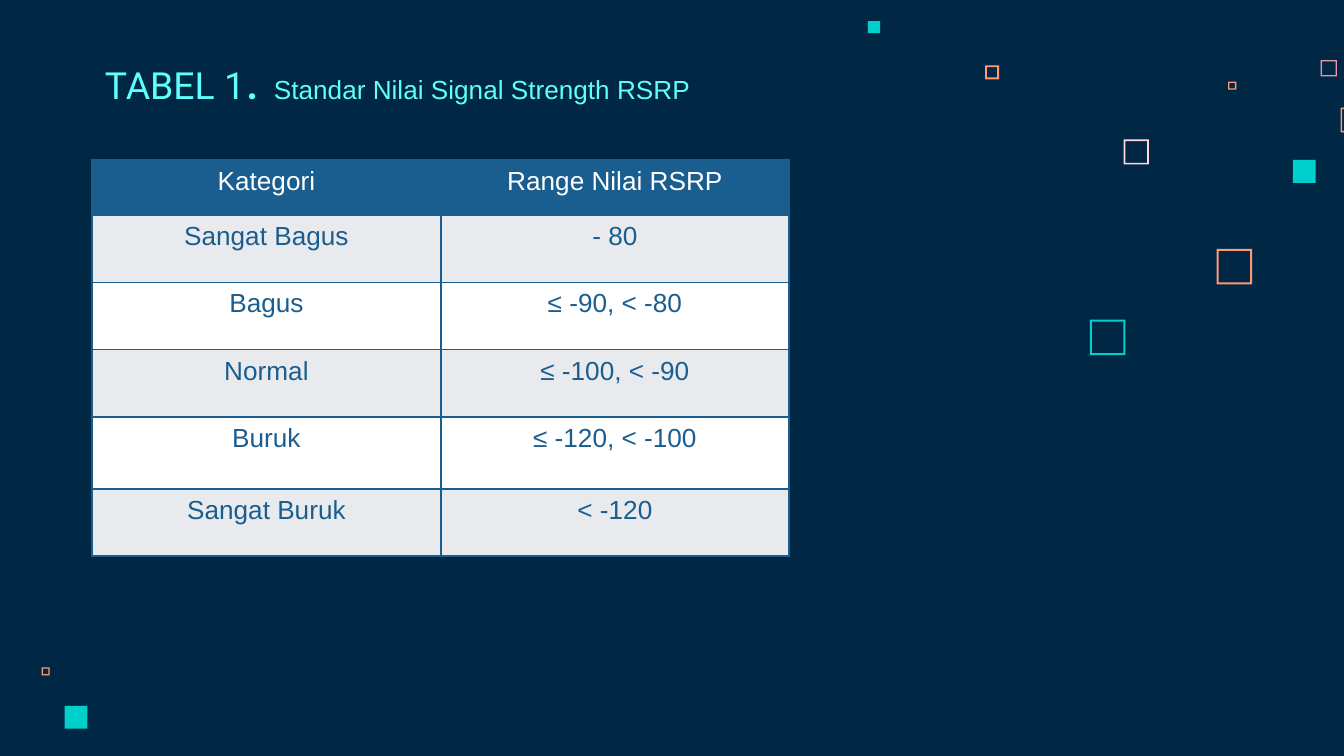
from lxml import etree
from pptx import Presentation
from pptx.dml import color
from pptx.enum import shapes, text
from pptx.oxml import ns
from pptx.util import Pt

NAVY, BLUE, GREY, WHITE = "002845", "1A5E8F", "E8EAEE", "FFFFFF"
TEAL, ORANGE, PINK, ROSE, CYAN = "00CFCC", "FF9973", "FFD6E1", "E898AC", "5EFFFD"

TITLE = [
    ("TABEL 1", "Roboto", 20),
    (". ", "Roboto", 30),
    ("Standar Nilai Signal Strength RSRP", "Arial", 14),
]
ROWS = [
    ("Kategori", "Range Nilai RSRP"),
    ("Sangat Bagus", "- 80"),
    ("Bagus", "≤ -90, < -80"),
    ("Normal", "≤ -100, < -90"),
    ("Buruk", "≤ -120, < -100"),
    ("Sangat Buruk", "< -120"),
]
ROW_HEIGHTS = [29.5, 36, 36, 36, 38.6, 36]
COLUMN_WIDTH = 186.7
SOLID_SQUARES = [
    (692.6, 85.7, 12.3, TEAL),
    (465, 11.3, 6.5, TEAL),
    (34.7, 378.2, 12.2, TEAL),
]
OPEN_SQUARES = [
    (602, 74.7, 13.4, 0.9, PINK),
    (707.5, 32.2, 8.7, 0.7, ROSE),
    (658, 43.7, 4.3, 0.7, ORANGE),
    (718.2, 57.7, 13.2, 0.8, ORANGE),
    (527.7, 35, 7.5, 1, ORANGE),
    (22.3, 357.6, 4.3, 0.7, ORANGE),
    (651.8, 133.4, 19, 1.1, ORANGE),
    (583.9, 171.3, 19, 1.1, TEAL),
]


def rgb(value):
    return color.RGBColor.from_string(value)


def paint(fill, value):
    fill.solid()
    fill.fore_color.rgb = rgb(value)


def style(span, face, size, value):
    span.font.name = face
    span.font.size = Pt(size)
    span.font.color.rgb = rgb(value)


def add_square(page, kind, left, top, side, value):
    square = page.shapes.add_shape(kind, Pt(left), Pt(top), Pt(side), Pt(side))
    square.shadow.inherit = False
    paint(square.fill, value)
    square.line.fill.background()
    return square


def add_borders(cell, value):
    properties = cell._tc.get_or_add_tcPr()
    for position, side in enumerate(("lnL", "lnR", "lnT", "lnB")):
        line = etree.Element(ns.qn("a:" + side), w=str(Pt(1)))
        fill = etree.SubElement(line, ns.qn("a:solidFill"))
        etree.SubElement(fill, ns.qn("a:srgbClr"), val=value)
        properties.insert(position, line)


def add_title(page):
    box = page.shapes.title
    box.left, box.top, box.width, box.height = Pt(49), Pt(21), Pt(360), Pt(45.4)
    frame = box.text_frame
    frame.word_wrap = True
    frame.auto_size = text.MSO_AUTO_SIZE.NONE
    frame.vertical_anchor = text.MSO_ANCHOR.BOTTOM
    frame.margin_left = frame.margin_right = Pt(7.2)
    frame.margin_top = frame.margin_bottom = Pt(7.2)
    para = frame.paragraphs[0]
    para.alignment = text.PP_ALIGN.LEFT
    for words, face, size in TITLE:
        span = para.add_run()
        span.text = words
        style(span, face, size, CYAN)


def add_rating_table(page):
    table = page.shapes.add_table(
        len(ROWS), 2, Pt(49.4), Pt(85.8), Pt(2 * COLUMN_WIDTH), Pt(sum(ROW_HEIGHTS))
    ).table
    for column in table.columns:
        column.width = Pt(COLUMN_WIDTH)
    for index, (values, height) in enumerate(zip(ROWS, ROW_HEIGHTS)):
        table.rows[index].height = Pt(height)
        background = BLUE if index == 0 else GREY if index % 2 else WHITE
        for cell, value in zip(table.rows[index].cells, values):
            cell.text_frame.text = value
            para = cell.text_frame.paragraphs[0]
            para.alignment = text.PP_ALIGN.CENTER
            style(para.runs[0], "Arial", 14, BLUE if index else WHITE)
            para.runs[0].font.bold = False
            paint(cell.fill, background)
            add_borders(cell, BLUE)


def main():
    deck = Presentation()
    deck.slide_width, deck.slide_height = Pt(720), Pt(405)
    page = deck.slides.add_slide(deck.slide_layouts[5])
    paint(page.background.fill, NAVY)
    for left, top, side, value in SOLID_SQUARES:
        add_square(page, shapes.MSO_SHAPE.RECTANGLE, left, top, side, value)
    for left, top, side, border, value in OPEN_SQUARES:
        square = add_square(page, shapes.MSO_SHAPE.FRAME, left, top, side, value)
        square.adjustments[0] = border / side
    add_title(page)
    add_rating_table(page)
    deck.save("out.pptx")


if __name__ == "__main__":
    main()
